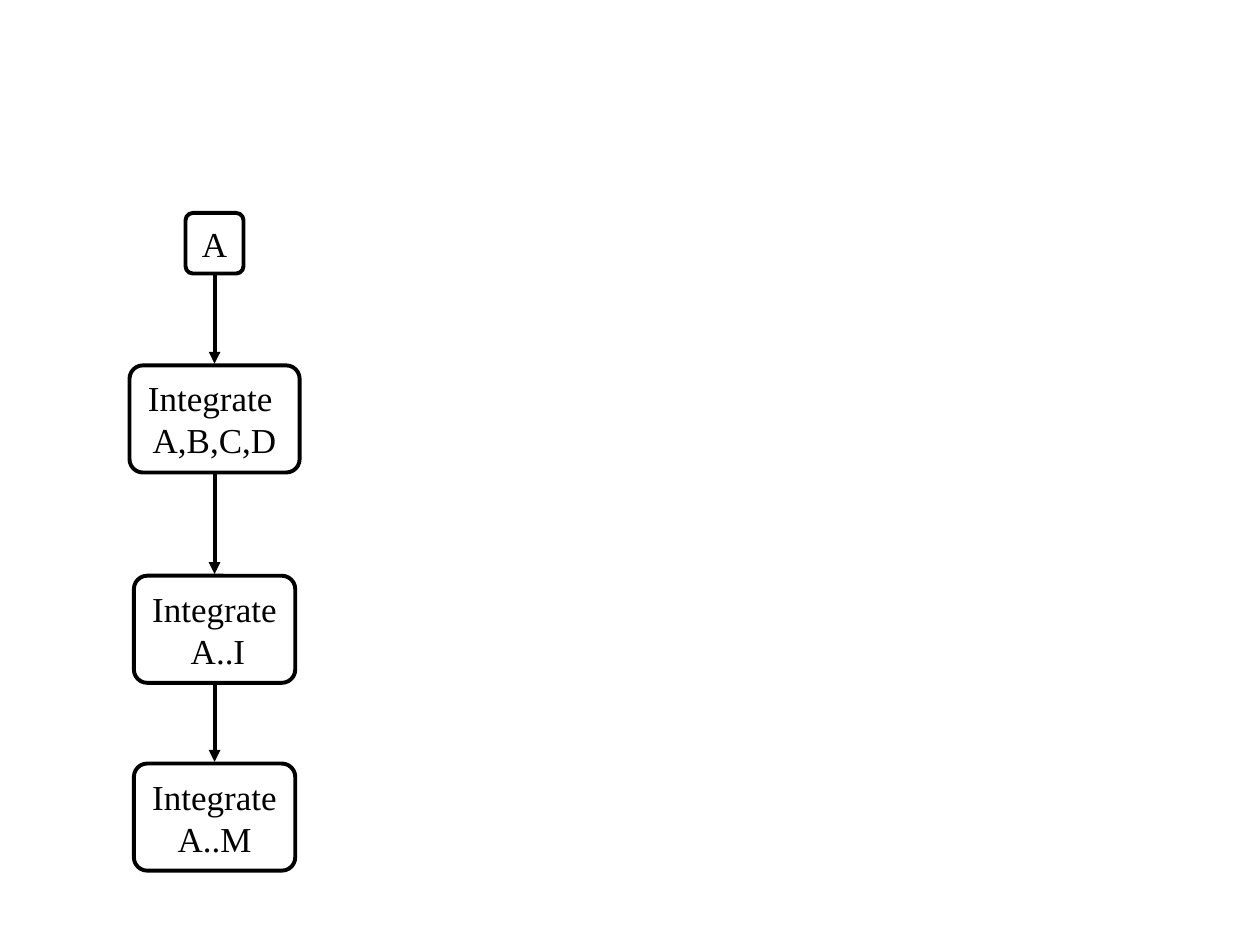
import pptx
import pptx.dml.color
import pptx.enum.shapes
import pptx.enum.text
import pptx.oxml
import pptx.oxml.ns
import pptx.util

Pt = pptx.util.Pt
CENTER_X = 122.6
ARROW_GAP = 1
STEPS = [
    ("A", 121.7, 33.1, 34.6),
    ("Integrate \vA,B,C,D", 208.8, 97.2, 61.2),
    ("Integrate\v A..I", 329, 92.2, 61.2),
    ("Integrate\vA..M", 436.3, 92.2, 61.2),
]


def rgb(value):
    """Turn a hex string into a colour."""
    return pptx.dml.color.RGBColor.from_string(value)


def set_line(s, color="000000", width=2.25):
    """Give a shape or connector its line."""
    s.line.color.rgb = rgb(color)
    s.line.width = Pt(width)


def write_text(tf, text, size=20, font="Times New Roman", color="000000"):
    """Write centred text that the shape grows to fit."""
    tf.word_wrap = False
    tf.auto_size = pptx.enum.text.MSO_AUTO_SIZE.SHAPE_TO_FIT_TEXT
    tf.vertical_anchor = pptx.enum.text.MSO_ANCHOR.MIDDLE
    p = tf.paragraphs[0]
    p.alignment = pptx.enum.text.PP_ALIGN.CENTER
    p.text = text
    for r in p.runs:
        r.font.size = Pt(size)
        r.font.name = font
        r.font.color.rgb = rgb(color)


def add_step(slide, text, top, width, height):
    """Add a rounded box centred on the flow axis."""
    s = slide.shapes.add_shape(
        pptx.enum.shapes.MSO_SHAPE.ROUNDED_RECTANGLE,
        Pt(CENTER_X - width / 2), Pt(top), Pt(width), Pt(height))
    s.adjustments[0] = 0.125
    s.shadow.inherit = False
    s.fill.background()
    set_line(s)
    write_text(s.text_frame, text)


def add_arrow(slide, start, end):
    """Add a downward arrow on the flow axis."""
    s = slide.shapes.add_connector(
        pptx.enum.shapes.MSO_CONNECTOR.STRAIGHT,
        Pt(CENTER_X), Pt(start), Pt(CENTER_X), Pt(end))
    set_line(s)
    ln = s.line._get_or_add_ln()
    ln.append(pptx.oxml.parse_xml(
        f'<a:tailEnd {pptx.oxml.ns.nsdecls("a")} type="triangle"/>'))
    s._element.spPr.append(pptx.oxml.parse_xml(
        f'<a:effectLst {pptx.oxml.ns.nsdecls("a")}/>'))


def main():
    """Build the integration flow slide."""
    prs = pptx.Presentation()
    prs.slide_width, prs.slide_height = Pt(720), Pt(540)
    slide = prs.slides.add_slide(prs.slide_layouts[6])
    for step in STEPS:
        add_step(slide, *step)
    for (_, top, _, height), (_, next_top, _, _) in zip(STEPS, STEPS[1:]):
        add_arrow(slide, top + height + ARROW_GAP, next_top - ARROW_GAP)
    prs.save("out.pptx")


if __name__ == "__main__":
    main()
